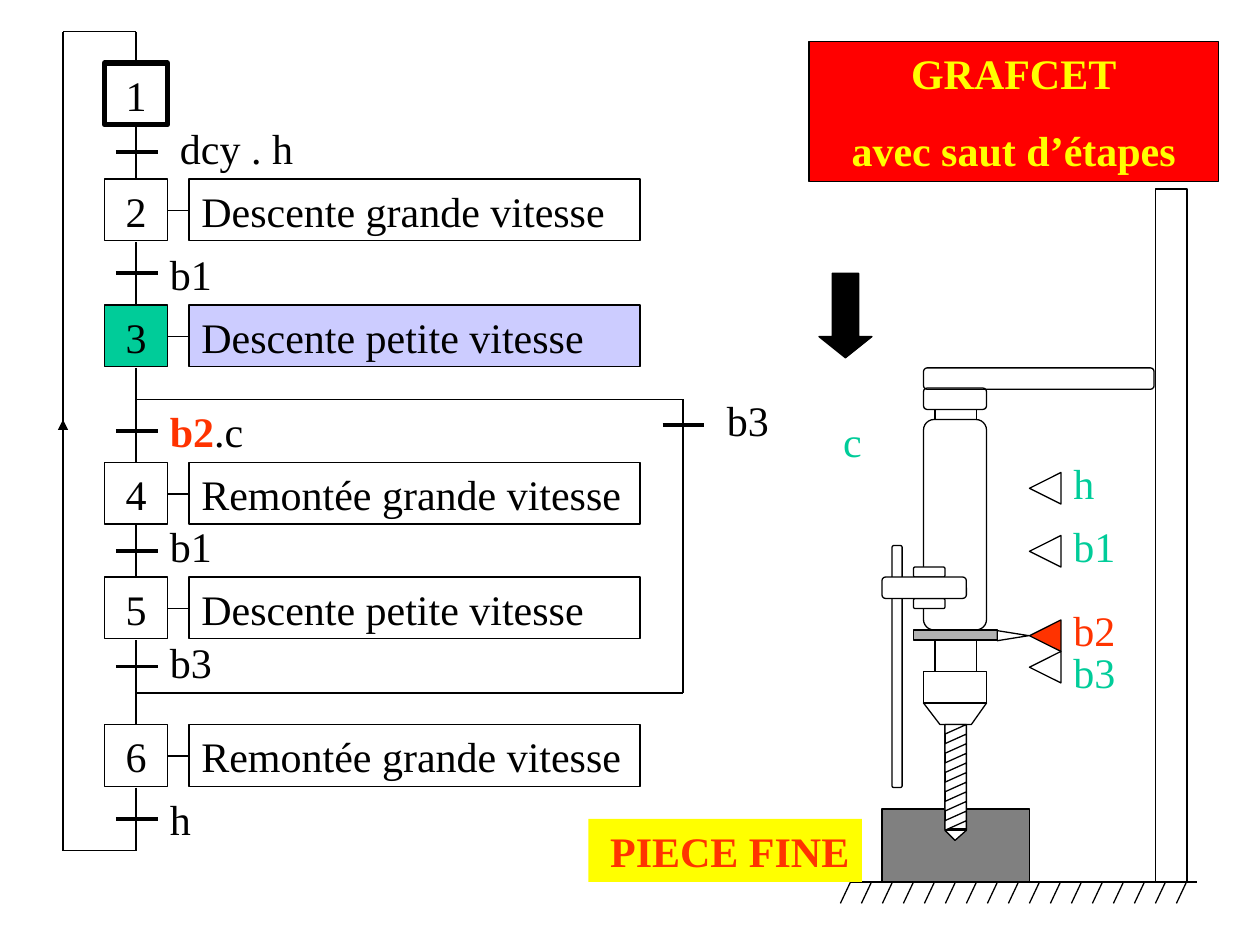
from lxml.etree import SubElement
from pptx import Presentation
from pptx.dml.color import RGBColor
from pptx.enum.shapes import MSO_CONNECTOR, MSO_SHAPE
from pptx.enum.text import MSO_ANCHOR, MSO_AUTO_SIZE, PP_ALIGN
from pptx.oxml.ns import qn
from pptx.util import Inches, Pt

COLORS = {
    "black": "000000", "white": "FFFFFF", "red": "FF0000", "orange": "FF3300",
    "yellow": "FFFF00", "green": "00CC99", "lilac": "CCCCFF",
    "silver": "B2B2B2", "gray": "808080",
}
RECT, ROUND = MSO_SHAPE.RECTANGLE, MSO_SHAPE.ROUNDED_RECTANGLE
TRIANGLE = MSO_SHAPE.ISOSCELES_TRIANGLE

prs = Presentation()
prs.slide_width, prs.slide_height = Inches(10), Inches(7.5)
slide = prs.slides.add_slide(prs.slide_layouts[5])
shapes = slide.shapes


def dress(shape, fill=None, width=0.75, paragraphs=(), align=PP_ALIGN.LEFT, wrap=True):
    """Set fill, outline and text; each paragraph is a list of (text, color, bold)."""
    if fill:
        shape.fill.solid()
        shape.fill.fore_color.rgb = RGBColor.from_string(COLORS[fill])
    else:
        shape.fill.background()
    if width:
        shape.line.color.rgb = RGBColor.from_string(COLORS["black"])
        shape.line.width = Pt(width)
    else:
        shape.line.fill.background()
    shape.shadow.inherit = False
    frame = shape.text_frame
    frame.word_wrap = wrap
    frame.auto_size = MSO_AUTO_SIZE.NONE
    frame.vertical_anchor = MSO_ANCHOR.TOP
    for index, runs in enumerate(paragraphs):
        paragraph = frame.add_paragraph() if index else frame.paragraphs[0]
        paragraph.alignment = align
        paragraph.space_before = Pt(15 if index else 0)
        for text, color, bold in runs:
            run = paragraph.add_run()
            run.text = text
            run.font.name = "Times New Roman"
            run.font.size = Pt(24)
            run.font.bold = bold
            run.font.color.rgb = RGBColor.from_string(COLORS[color])


def add_line(x1, y1, x2, y2, width=0.75, arrow=False):
    line = shapes.add_connector(
        MSO_CONNECTOR.STRAIGHT, Inches(x1), Inches(y1), Inches(x2), Inches(y2))
    line.line.color.rgb = RGBColor.from_string(COLORS["black"])
    line.line.width = Pt(width)
    if arrow:
        SubElement(line.line._ln, qn("a:tailEnd"), type="triangle", w="med", len="med")
    SubElement(line._element.spPr, qn("a:effectLst"))


# Title
title = shapes.title
title.left, title.top = Inches(6.42), Inches(0.33)
title.width, title.height = Inches(3.25), Inches(1.11)
dress(title, "red", align=PP_ALIGN.CENTER, paragraphs=[
    [("GRAFCET", "yellow", True)], [("avec saut d’étapes", "yellow", True)]])

# Steps with their actions
steps = [
    (0.5, None, None, None),
    (1.42, "Descente grande vitesse", None, None),
    (2.42, "Descente petite vitesse", "green", "lilac"),
    (3.67, "Remontée grande vitesse", None, None),
    (4.58, "Descente petite vitesse", None, None),
    (5.75, "Remontée grande vitesse", None, None),
]
for number, (top, action, step_fill, action_fill) in enumerate(steps, 1):
    step = shapes.add_shape(RECT, Inches(0.83), Inches(top), Inches(0.5), Inches(0.49))
    dress(step, step_fill, 0.75 if action else 3,
          [[(str(number), "black", False)]], PP_ALIGN.CENTER)
    if action:
        add_line(1.33, top + 0.25, 1.5, top + 0.25)
        action_box = shapes.add_shape(
            RECT, Inches(1.5), Inches(top), Inches(3.58), Inches(0.49))
        dress(action_box, action_fill, paragraphs=[[(action, "black", False)]])

# Transitions: stem x, stem top, stem bottom, bar y, label left, label top, label
transitions = [
    (1.08, 1, 1.42, 1.21, 1.33, 0.92, [("dcy . h", "black", False)]),
    (1.08, 1.92, 2.42, 2.17, 1.25, 1.92, [("b1", "black", False)]),
    (1.08, 2.92, 3.67, 3.42, 1.25, 3.17,
     [("b2", "orange", True), (".c", "black", False)]),
    (1.08, 4.17, 4.58, 4.37, 1.25, 4.08, [("b1", "black", False)]),
    (1.08, 5.08, 5.75, 5.29, 1.25, 5, [("b3", "black", False)]),
    (1.08, 6.25, 6.75, 6.5, 1.25, 6.25, [("h", "black", False)]),
    (5.42, 3.17, 5.5, 3.37, 5.67, 3.08, [("b3", "black", False)]),
]
for x, top, bottom, bar, label_left, label_top, runs in transitions:
    add_line(x, top, x, bottom)
    add_line(x - 0.16, bar, x + 0.17, bar, 2.25)
    label = shapes.add_textbox(
        Inches(label_left), Inches(label_top), Inches(1.17), Inches(0.49))
    dress(label, width=0, paragraphs=[runs])

# Step skip and loop back to step 1
for y in (3.17, 5.5):
    add_line(1.08, y, 5.42, y)
add_line(1.08, 6.75, 0.5, 6.75)
add_line(0.5, 6.75, 0.5, 0.25)
add_line(0.5, 0.25, 1.08, 0.25)
add_line(1.08, 0.25, 1.08, 0.5)
add_line(0.5, 4, 0.5, 3.33, arrow=True)

# Position sensors
sensors = [("h", 3.75, 3.58, "white", "green"), ("b1", 4.25, 4.08, None, "green"),
           ("b2", 4.92, 4.75, "orange", "orange"), ("b3", 5.17, 5.08, None, "green")]
for name, top, label_top, fill, color in sensors:
    sensor = shapes.add_shape(
        TRIANGLE, Inches(8.17), Inches(top), Inches(0.25), Inches(0.25))
    sensor.rotation = 270
    dress(sensor, fill)
    label = shapes.add_textbox(
        Inches(8.42), Inches(label_top), Inches(0.53), Inches(0.5))
    dress(label, width=0, paragraphs=[[(name, color, False)]], wrap=False)

# Drilling machine, from back to front
machine = [
    (RECT, 7.33, 5.33, 0.5, 0.25, None),
    (RECT, 7.42, 5.08, 0.33, 0.25, None),
    (RECT, 7.25, 5, 0.67, 0.08, "silver"),
    (ROUND, 7.33, 3.33, 0.5, 1.67, None),
    (RECT, 7.42, 3.25, 0.33, 0.08, None),
    (ROUND, 7.33, 3.08, 0.5, 0.17, None),
    (ROUND, 7.25, 4.5, 0.25, 0.08, "white"),
    (ROUND, 7.25, 4.75, 0.25, 0.08, "white"),
    (ROUND, 7.08, 4.33, 0.08, 1.92, "white"),
    (ROUND, 7, 4.58, 0.67, 0.17, "white"),
    (ROUND, 7.33, 2.92, 1.83, 0.17, None),
    (RECT, 9.17, 1.5, 0.25, 5.5, None),
    (MSO_SHAPE.DOWN_ARROW, 6.5, 2.17, 0.42, 0.67, "black"),
    (RECT, 7, 6.42, 1.17, 0.58, "gray"),
    (RECT, 7.5, 5.75, 0.17, 0.83, "white"),
]
for kind, left, top, width, height, fill in machine:
    part = shapes.add_shape(
        kind, Inches(left), Inches(top), Inches(width), Inches(height))
    if kind == MSO_SHAPE.DOWN_ARROW:
        part.adjustments[1] = 0.4
    dress(part, fill)

pointer = shapes.add_shape(TRIANGLE, Inches(8), Inches(4.92), Inches(0.08), Inches(0.25))
pointer.rotation = 90
dress(pointer)

# Chuck and twisted drill bit
chuck = [(7.33, 5.58), (7.46, 5.75), (7.71, 5.75), (7.83, 5.58)]
bit_left, bit_right, bit_top, bit_end = 7.5, 7.67, 5.75, 6.59
pitch = (bit_end - bit_top) / 11
bit = [(bit_left, bit_top), (bit_right, bit_top)]
for turn in range(1, 11, 2):
    bit += [(x, bit_top + pitch * level)
            for x in (bit_left, bit_right) for level in (turn, turn + 1)]
bit += [(bit_left, bit_end), (7.58, 6.67), (bit_right, bit_end), (bit_right, bit_top),
        (bit_right, bit_end), (bit_left, bit_end)]
for outline, fill in ((chuck, None), (bit, "white")):
    corners = [(Inches(x), Inches(y)) for x, y in outline]
    builder = shapes.build_freeform(*corners[0])
    builder.add_line_segments(corners[1:], close=True)
    dress(builder.convert_to_shape(), fill)

# Hatched ground
add_line(6.75, 7, 9.5, 7)
for hatch in range(17):
    x = 6.75 + hatch / 6
    add_line(x, 7, x - 0.08, 7.17)

# Part sensor and part caption
part_sensor = shapes.add_textbox(Inches(6.59), Inches(3.25), Inches(0.35), Inches(0.5))
dress(part_sensor, width=0, paragraphs=[[("c", "green", False)]],
      align=PP_ALIGN.CENTER, wrap=False)
caption = shapes.add_shape(RECT, Inches(4.67), Inches(6.5), Inches(2.17), Inches(0.5))
dress(caption, "yellow", 0, [[("PIECE FINE", "orange", True)]], PP_ALIGN.RIGHT)

prs.save("out.pptx")
